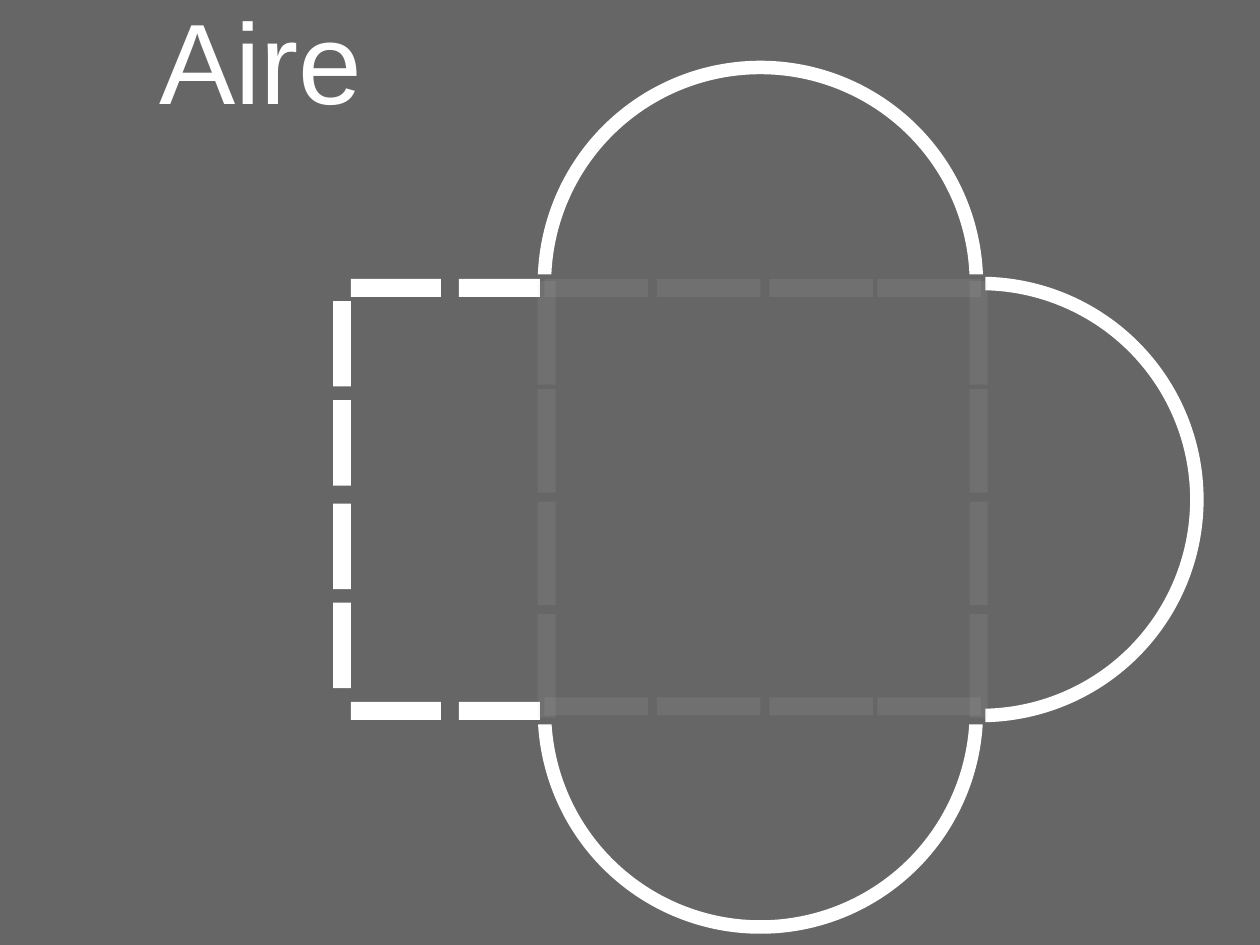
from dataclasses import dataclass

from lxml import etree
from pptx import Presentation
from pptx import util as u
from pptx.dml.color import RGBColor
from pptx.enum import shapes, text
from pptx.oxml.ns import qn


@dataclass(frozen=True)
class Theme:
    back: str = "666666"
    ink: str = "FFFFFF"
    ghost: str = "CCCCCC"
    alpha: int = 10
    font: str = "Arial"
    title: float = 72
    ring: float = 8.5


@dataclass(frozen=True)
class Box:
    left: float
    top: float
    width: float
    height: float
    turn: int = 0

    def place(self) -> list[u.Length]:
        return [u.Pt(v) for v in (self.left, self.top, self.width, self.height)]


THEME = Theme()
PAGE = Box(0, 0, 793.75, 595.25)
THICK = 11.34
SIDE = 272.13
DASH = 65.2
STEPS = (0, 70.87, 141.73, 209.76)

RINGS = [
    Box(left, top, SIDE, SIDE)
    for left, top in ((342.99, 42.52), (481.89, 178.58), (342.99, 311.81))
]
COVER = Box(337.32, 172.91, 283.46, 283.46)
WHITE = [
    Box(left, top, width, THICK)
    for top in (175.75, 442.2)
    for left, width in ((221.1, 56.69), (289.13, 51.02))
] + [Box(188.5, top, 53.86, THICK, 90) for top in (210.9, 273.3, 338.5, 400.9)]
FAINT = [
    Box(342.99 + step, top, DASH, THICK)
    for top in (175.75, 439.37)
    for step in STEPS
] + [
    Box(left, 413.7 - step, DASH, THICK, 270)
    for left in (584, 311.8)
    for step in STEPS
]


def draw_bar(slide, box: Box, color: str, alpha: int = 100) -> None:
    bar = slide.shapes.add_shape(shapes.MSO_SHAPE.RECTANGLE, *box.place())
    bar.rotation = box.turn
    bar.shadow.inherit = False
    bar.fill.solid()
    bar.fill.fore_color.rgb = RGBColor.from_string(color)
    bar.line.fill.background()
    if alpha < 100:
        tone = bar.fill._xPr.find(qn("a:solidFill"))[0]
        etree.SubElement(tone, qn("a:alpha"), val=str(alpha * 1000))


def draw_ring(slide, box: Box) -> None:
    ring = slide.shapes.add_shape(shapes.MSO_SHAPE.OVAL, *box.place())
    ring.shadow.inherit = False
    ring.fill.background()
    ring.line.color.rgb = RGBColor.from_string(THEME.ink)
    ring.line.width = u.Pt(THEME.ring)


def draw_title(slide, box: Box, words: str) -> None:
    frame = slide.shapes.add_textbox(*box.place()).text_frame
    frame.word_wrap = True
    frame.vertical_anchor = text.MSO_ANCHOR.MIDDLE
    frame.margin_left = frame.margin_right = 0
    frame.margin_top = frame.margin_bottom = 0
    line = frame.paragraphs[0]
    line.text = words
    line.alignment = text.PP_ALIGN.CENTER
    line.font.name = THEME.font
    line.font.size = u.Pt(THEME.title)
    line.font.color.rgb = RGBColor.from_string(THEME.ink)


def main() -> None:
    deck = Presentation()
    deck.slide_width, deck.slide_height = u.Pt(PAGE.width), u.Pt(PAGE.height)
    slide = deck.slides.add_slide(deck.slide_layouts[6])

    draw_bar(slide, PAGE, THEME.back)
    draw_title(slide, Box(-62.9, -25.2, 454.3, 124.6), "Aire")
    for ring in RINGS:
        draw_ring(slide, ring)
    draw_bar(slide, COVER, THEME.back)
    for bar in WHITE:
        draw_bar(slide, bar, THEME.ink)
    for bar in FAINT:
        draw_bar(slide, bar, THEME.ghost, THEME.alpha)

    deck.save("out.pptx")


if __name__ == "__main__":
    main()
